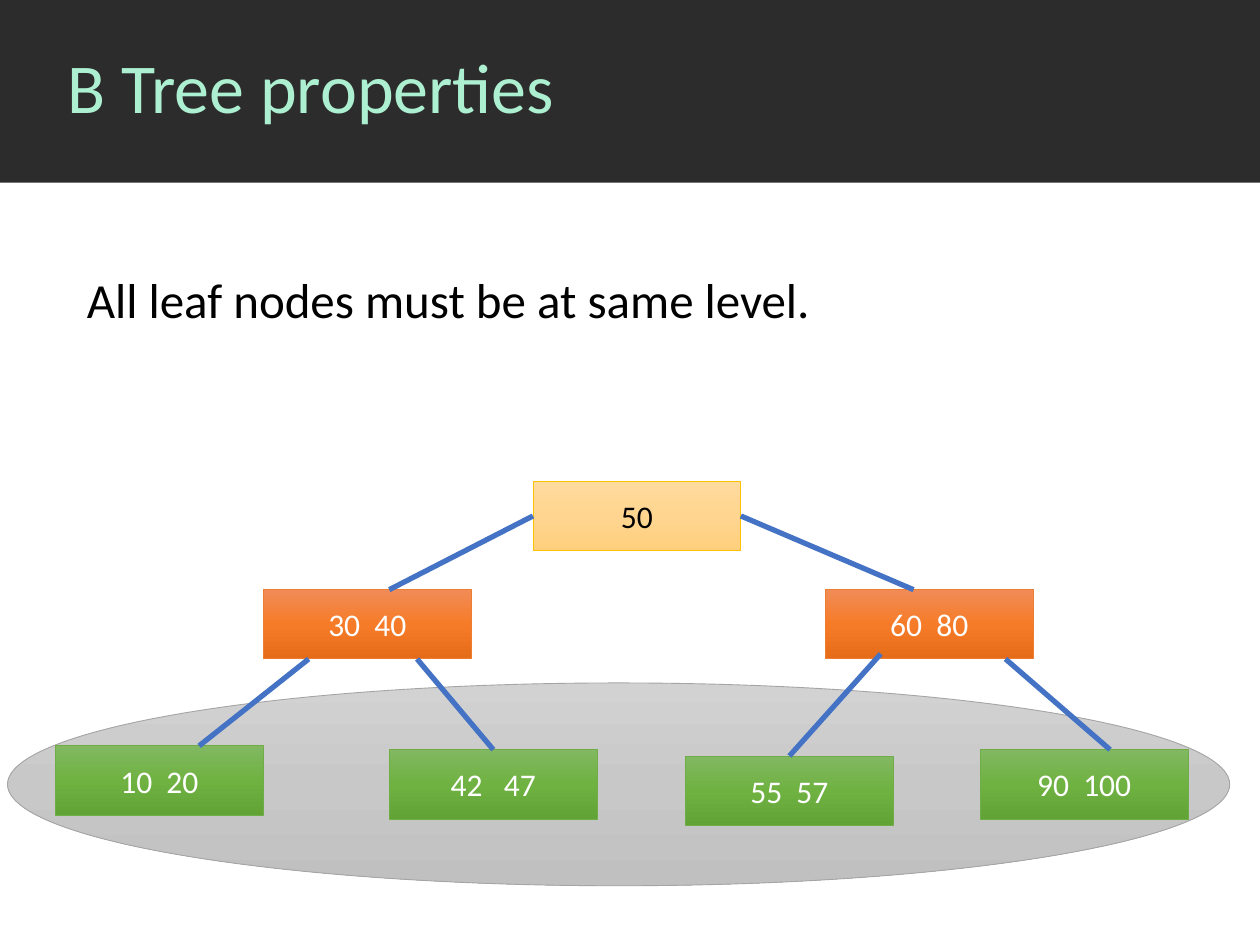
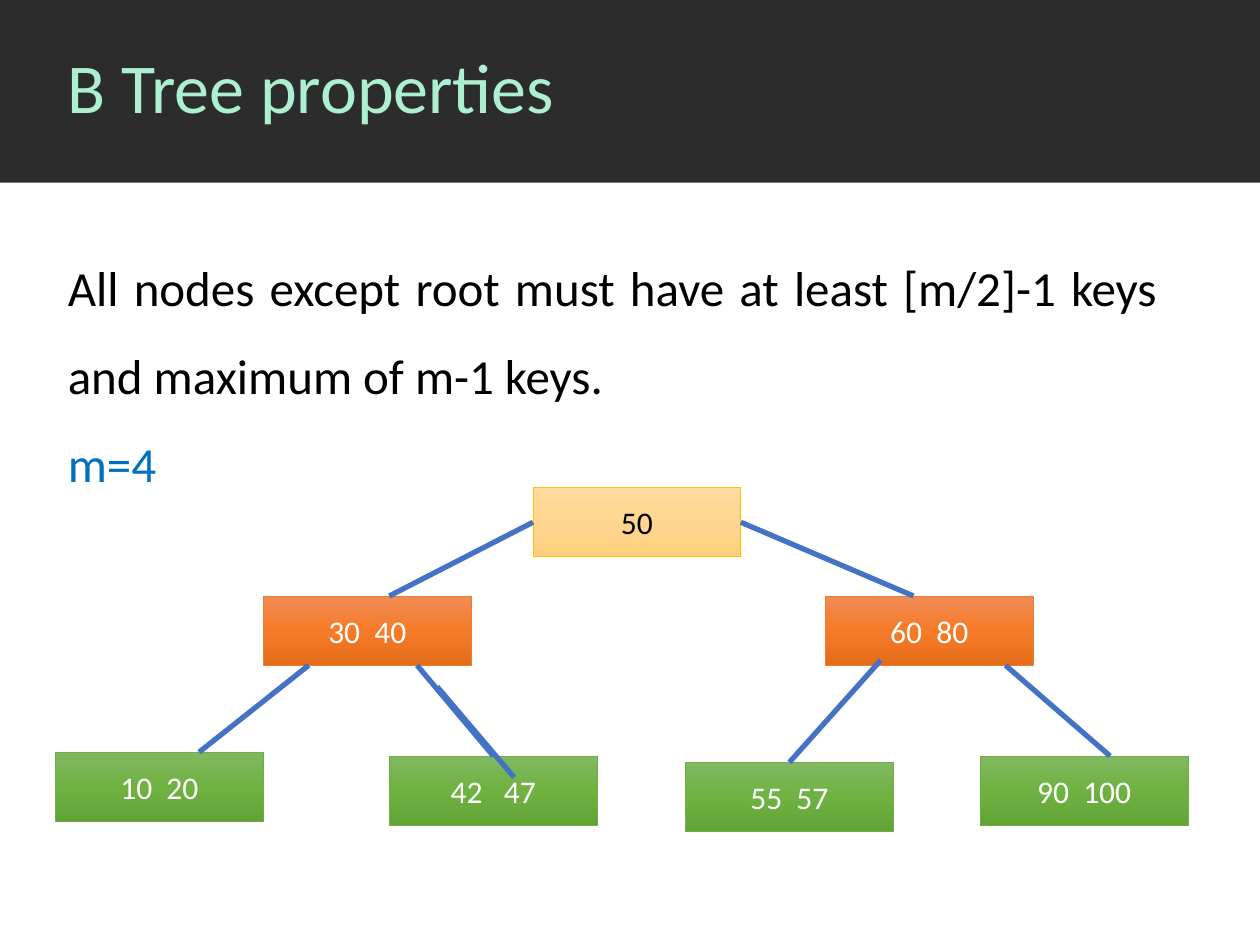
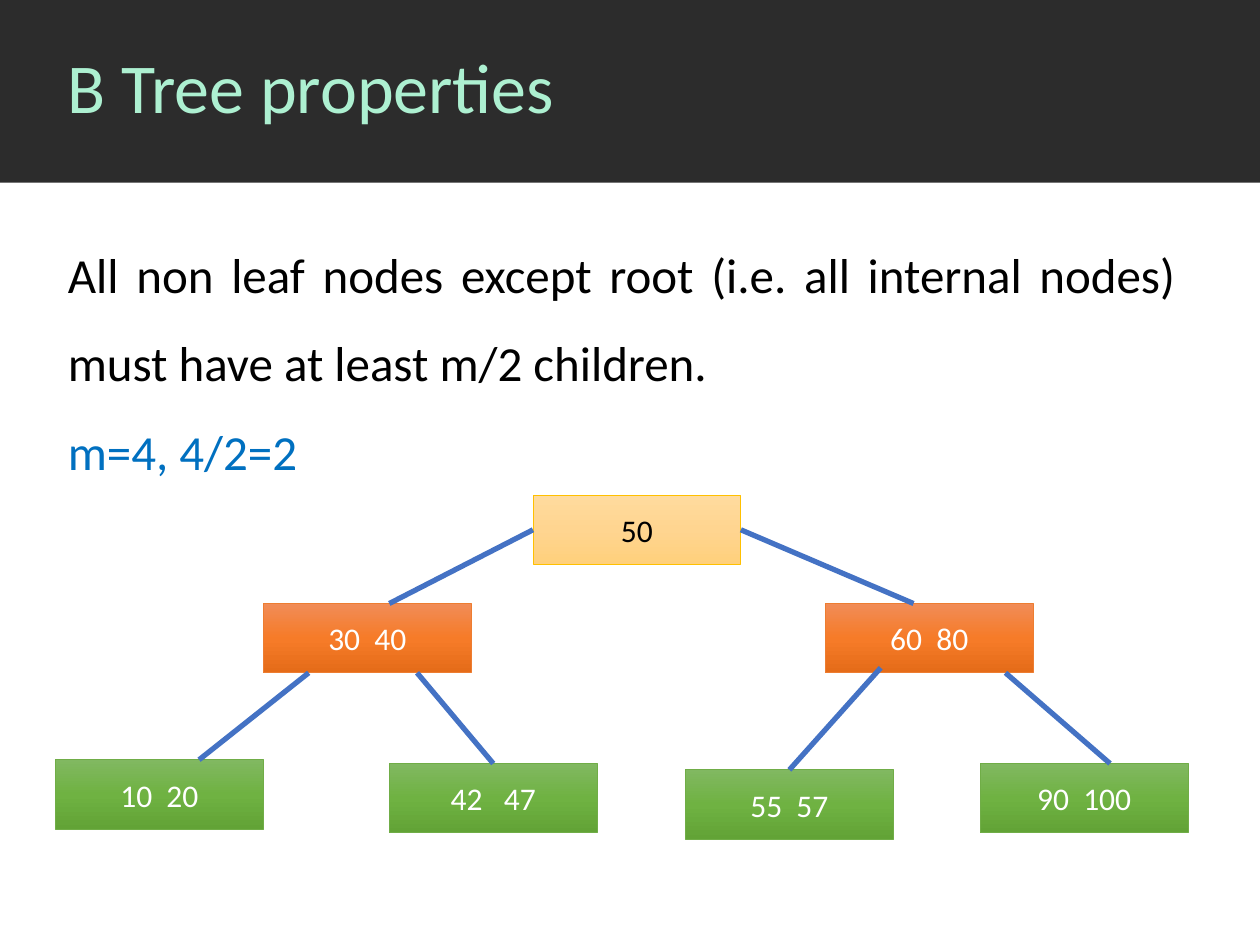
from dataclasses import dataclass

from lxml import etree
from pptx import Presentation
from pptx.dml.color import RGBColor
from pptx.enum import shapes, text
from pptx.oxml.ns import qn
from pptx.util import Inches, Pt


@dataclass(frozen=True)
class Theme:
    font: str = "Calibri"
    title_size: int = 40
    body_size: int = 28
    key_size: int = 18
    band: str = "2C2C2C"
    title: str = "ADF0D1"
    ink: str = "000000"
    note: str = "0070C0"
    link: str = "4472C4"
    # Each style: three gradient colours, outline, text
    root: tuple = ("FFDB9E", "FFD590", "FFD07C", "FFC000", "000000")
    internal: tuple = ("F18C57", "F67B28", "E56C19", "ED7D31", "FFFFFF")
    leaf: tuple = ("81B861", "6FB242", "62A336", "70AD47", "FFFFFF")
    highlight: tuple = ("D2D2D2", "C8C8C8", "C0C0C0", "A5A5A5", "000000")


THEME = Theme()
NODE_W, NODE_H = 1.65, 0.55

# Keys: (left, distance below the top of the tree, style)
NODES = {
    "50": (4.23, 0, THEME.root),
    "60  80": (6.55, 0.86, THEME.internal),
    "30  40": (2.09, 0.86, THEME.internal),
    "90  100": (7.78, 2.13, THEME.leaf),
    "55  57": (5.44, 2.18, THEME.leaf),
    "42   47": (3.09, 2.13, THEME.leaf),
    "10  20": (0.44, 2.1, THEME.leaf),
}

# Links: two ends, each a point (x, distance below the top) or (keys, side)
LINKS = [
    (("50", 1), (3.09, 0.86)),
    ((6.99, 1.37), ("55  57", 0)),
    ((7.25, 0.86), ("50", 3)),
    (("42   47", 0), (3.31, 1.41)),
    ((2.45, 1.41), (1.58, 2.1)),
    ((7.98, 1.41), (8.81, 2.13)),
]


def rgb(colour):
    return RGBColor.from_string(colour)


def write(frame, content, size, colour, align=None, spacing=None, first=True):
    paragraph = frame.paragraphs[0] if first else frame.add_paragraph()
    paragraph.alignment = align
    paragraph.line_spacing = spacing
    run = paragraph.add_run()
    run.text = content
    run.font.name = THEME.font
    run.font.size = Pt(size)
    run.font.color.rgb = rgb(colour)


def add_frame(slide, box, anchor=text.MSO_ANCHOR.TOP):
    frame = slide.shapes.add_textbox(*map(Inches, box)).text_frame
    frame.word_wrap = True
    frame.vertical_anchor = anchor
    return frame


def add_gradient_shape(slide, kind, box, style):
    *colours, outline, _ = style
    shape = slide.shapes.add_shape(kind, *map(Inches, box))
    shape.shadow.inherit = False
    shape.line.color.rgb = rgb(outline)
    shape.line.width = Pt(0.5)
    shape.fill.gradient()
    shape.fill.gradient_angle = 270
    # Three stops, evenly spread
    stops = shape._element.spPr.find(qn("a:gradFill")).find(qn("a:gsLst"))
    for stop in list(stops):
        stops.remove(stop)
    for i, colour in enumerate(colours):
        stop = etree.SubElement(stops, qn("a:gs"), pos=str(i * 50000))
        etree.SubElement(stop, qn("a:srgbClr"), val=colour)
    return shape


def add_node(slide, keys, left, top, style):
    node = add_gradient_shape(slide, shapes.MSO_SHAPE.RECTANGLE,
                              (left, top, NODE_W, NODE_H), style)
    node.text_frame.vertical_anchor = text.MSO_ANCHOR.MIDDLE
    write(node.text_frame, keys, THEME.key_size, style[-1], text.PP_ALIGN.CENTER)
    return node


def add_link(slide, nodes, top, start, end):
    def position(point):
        if point[0] in nodes:
            return 0, 0
        return Inches(point[0]), Inches(top + point[1])

    link = slide.shapes.add_connector(shapes.MSO_CONNECTOR.STRAIGHT,
                                      *position(start), *position(end))
    for point, join in ((start, link.begin_connect), (end, link.end_connect)):
        if point[0] in nodes:
            join(nodes[point[0]], point[1])
    link.line.color.rgb = rgb(THEME.link)
    link.line.width = Pt(3)
    etree.SubElement(link._element.spPr, qn("a:effectLst"))


def add_tree(slide, top, extra_links=()):
    nodes = {keys: add_node(slide, keys, left, top + drop, style)
             for keys, (left, drop, style) in NODES.items()}
    for start, end in [*LINKS, *extra_links]:
        add_link(slide, nodes, top, start, end)


def add_titled_slide(deck):
    slide = deck.slides.add_slide(deck.slide_layouts[6])
    band = slide.shapes.add_shape(shapes.MSO_SHAPE.RECTANGLE, 0, 0,
                                  deck.slide_width, Inches(1.45))
    band.shadow.inherit = False
    band.fill.solid()
    band.fill.fore_color.rgb = rgb(THEME.band)
    band.line.fill.background()
    title = add_frame(slide, (0.44, 0, 9.56, 1.44), text.MSO_ANCHOR.MIDDLE)
    write(title, "B Tree properties", THEME.title_size, THEME.title, spacing=0.9)
    return slide


def add_rule(slide, box, rule, example):
    frame = add_frame(slide, box)
    layout = dict(align=text.PP_ALIGN.JUSTIFY, spacing=1.5)
    write(frame, rule, THEME.body_size, THEME.ink, **layout)
    write(frame, example, THEME.body_size, THEME.note, first=False, **layout)


def main():
    deck = Presentation()
    deck.slide_width, deck.slide_height = Inches(10), Inches(7.5)

    # Leaf level
    slide = add_titled_slide(deck)
    add_gradient_shape(slide, shapes.MSO_SHAPE.OVAL, (0.06, 5.42, 9.7, 1.61),
                       THEME.highlight)
    add_tree(slide, 3.82)
    write(add_frame(slide, (0.59, 2.09, 7.19, 0.57)),
          "All leaf nodes must be at same level.", THEME.body_size, THEME.ink)

    # Number of keys
    slide = add_titled_slide(deck)
    add_tree(slide, 3.87, extra_links=[((4.08, 2.3), (3.47, 1.58))])
    add_rule(slide, (0.44, 1.76, 8.84, 2.13),
             "All nodes except root must have at least [m/2]-1 keys "
             "and maximum of m-1 keys.", "m=4")

    # Number of children
    slide = add_titled_slide(deck)
    add_tree(slide, 3.93)
    add_rule(slide, (0.44, 1.66, 8.99, 2.13),
             "All non leaf nodes except root (i.e. all internal nodes) "
             "must have at least m/2 children.", "m=4, 4/2=2")

    deck.save("out.pptx")


if __name__ == "__main__":
    main()
